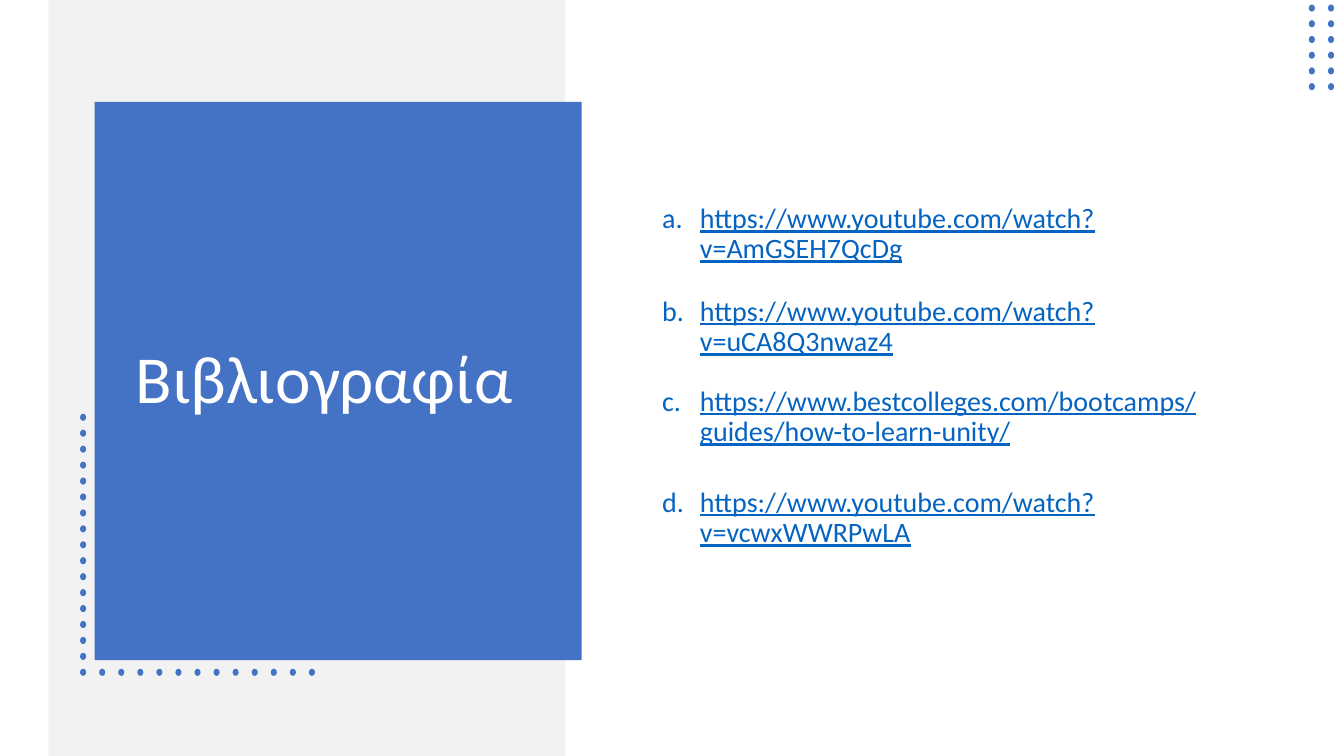
import pptx
import pptx.util
import pptx.dml.color
import pptx.enum.shapes
import pptx.enum.text
import pptx.oxml
import pptx.oxml.ns
import lxml.etree

Pt = pptx.util.Pt
RGBColor = pptx.dml.color.RGBColor
Shape = pptx.enum.shapes.MSO_SHAPE

GREY = RGBColor(0xF2, 0xF2, 0xF2)
BLUE = RGBColor(0x44, 0x72, 0xC4)
LINK = RGBColor(0x05, 0x63, 0xC1)
WHITE = RGBColor(0xFF, 0xFF, 0xFF)

TITLE = "Βιβλιογραφία"
SOURCES = [
    ("https://www.youtube.com/watch?v=AmGSEH7QcDg", 23),
    ("https://www.youtube.com/watch?v=uCA8Q3nwaz4", 21),
    ("https://www.bestcolleges.com/bootcamps/guides/how-to-learn-unity/", 29),
    ("https://www.youtube.com/watch?v=vcwxWWRPwLA", 0),
]
PANELS = [
    ((34.56, 0, 369.36, 540), GREY),
    ((67.68, 72.72, 347.76, 398.88), BLUE),
]
TITLE_BOX = (90, 104.4, 298.08, 336.96)
SOURCES_BOX = (465.84, 93.6, 437.76, 378)
SOURCES_BOTTOM_INSET = 31
INDENT = 27

DOT_WIDTH, DOT_HEIGHT = 4.32, 5.04
EDGE_LEFT, EDGE_TOP, EDGE_BOTTOM = 59.4, 298.08, 480.24
EDGE_ROWS, EDGE_COLUMNS = 17, 13
EDGE_COLUMN_STEP = 13.62
CORNER_LEFT, CORNER_TOP = 937.08, 5.76
CORNER_COLUMN_STEP, CORNER_ROW_STEP = 13.68, 11.23
CORNER_ROWS, CORNER_COLUMNS = 6, 2

edge_row_step = (EDGE_BOTTOM - EDGE_TOP) / (EDGE_ROWS - 1)
edge_dots = [(EDGE_LEFT, EDGE_TOP + row * edge_row_step)
             for row in range(EDGE_ROWS)]
edge_dots += [(EDGE_LEFT + column * EDGE_COLUMN_STEP, EDGE_BOTTOM)
              for column in range(1, EDGE_COLUMNS)]
corner_dots = [(CORNER_LEFT + column * CORNER_COLUMN_STEP,
                CORNER_TOP + row * CORNER_ROW_STEP)
               for row in range(CORNER_ROWS)
               for column in range(CORNER_COLUMNS)]


def set_all(target, values):
    for name, value in values.items():
        setattr(target, name, value)


def add_filled(shapes, kind, box, color):
    shape = shapes.add_shape(kind, *map(Pt, box))
    shape.shadow.inherit = False
    shape.fill.solid()
    shape.fill.fore_color.rgb = color
    shape.line.fill.background()


def add_dots(slide, centres):
    group = slide.shapes.add_group_shape()
    for x, y in centres:
        box = (x - DOT_WIDTH / 2, y - DOT_HEIGHT / 2, DOT_WIDTH, DOT_HEIGHT)
        add_filled(group.shapes, Shape.OVAL, box, BLUE)


def add_text_frame(slide, box):
    frame = slide.shapes.add_textbox(*map(Pt, box)).text_frame
    set_all(frame, {
        "word_wrap": True,
        "vertical_anchor": pptx.enum.text.MSO_ANCHOR.MIDDLE,
    })
    return frame


def write(paragraph, text, size, color, underline):
    paragraph.line_spacing = 0.9
    run = paragraph.add_run()
    run.text = text
    set_all(run.font, {"name": "Calibri", "size": Pt(size),
                       "underline": underline})
    run.font.color.rgb = color


def add_letter(paragraph):
    properties = paragraph._p.get_or_add_pPr()
    properties.set("marL", str(Pt(INDENT)))
    properties.set("indent", str(-Pt(INDENT)))
    bullet = lxml.etree.SubElement(
        properties, pptx.oxml.ns.qn("a:buAutoNum"))
    bullet.set("type", "alphaLcPeriod")


def main():
    presentation = pptx.Presentation()
    set_all(presentation, {"slide_width": Pt(960), "slide_height": Pt(540)})
    slide = presentation.slides.add_slide(presentation.slide_layouts[6])

    for box, color in PANELS:
        add_filled(slide.shapes, Shape.RECTANGLE, box, color)
    add_dots(slide, edge_dots)

    title = add_text_frame(slide, TITLE_BOX)
    write(title.paragraphs[0], TITLE, 48, WHITE, False)
    add_dots(slide, corner_dots)

    sources = add_text_frame(slide, SOURCES_BOX)
    sources.margin_bottom = Pt(SOURCES_BOTTOM_INSET)
    for index, (address, gap) in enumerate(SOURCES):
        paragraph = sources.add_paragraph() if index else sources.paragraphs[0]
        add_letter(paragraph)
        paragraph.space_after = Pt(gap)
        write(paragraph, address, 20, LINK, True)

    presentation.save("out.pptx")


if __name__ == "__main__":
    main()
